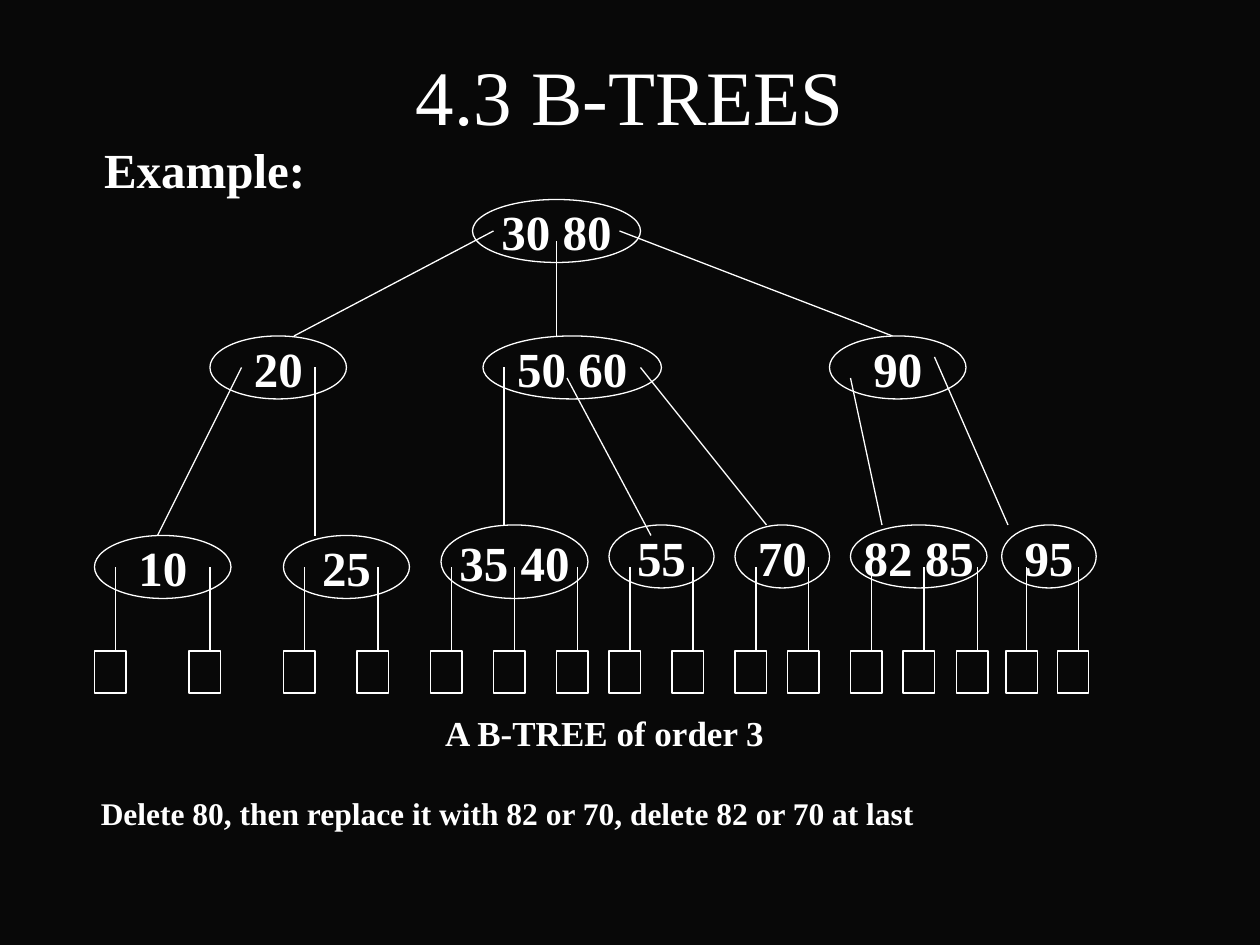
from collections import namedtuple

from pptx import Presentation
from pptx import util as u
from pptx.dml import color
from pptx.enum import shapes, text
from pptx.oxml.ns import qn

CELL = 1 / 12  # grid of 120 columns by 90 rows, in inches
WHITE, BLACK = "FFFFFF", "080808"
FONT = "Times New Roman"
LINE_WIDTH = 0.75
MARGIN = 0.05

Box = namedtuple("Box", "left top width height")
Node = namedtuple("Node", "keys left top width height", defaults=(6,))

# Columns and rows below count from the corner of the tree's box
NODES = [
    Node("30 80", 36, 0, 16),
    Node("20", 11, 13, 13),
    Node("50 60", 37, 13, 17),
    Node("90", 70, 13, 13),
    Node("10", 0, 32, 13),
    Node("25", 18, 32, 12),
    Node("35 40", 33, 31, 14, 7),
    Node("55", 49, 31, 10),
    Node("70", 61, 31, 9),
    Node("82 85", 72, 31, 13),
    Node("95", 86.4, 31, 9),
]
BRANCHES = [
    (38, 3, 19, 13), (44, 4, 44, 13), (50, 3, 76, 13),
    (14, 16, 6, 32), (21, 16, 21, 32),
    (39, 16, 39, 31), (45, 17, 53, 32), (52, 16, 64, 31),
    (72, 17, 75, 31), (80, 15, 87, 31),
]
LEAVES = [0, 9, 18, 25, 32, 38, 44, 49, 55, 61, 66, 72, 77, 82.1, 86.8, 91.7]
LEAF_TOP, LEAF_WIDTH, LEAF_HEIGHT, STEM = 43, 3, 4, 8


def rgb(value):
    return color.RGBColor.from_string(value)


def cells(*counts):
    return [u.Inches(count * CELL) for count in counts]


def add_text(page, box, words, size, bold=True, before=0, wrap=True,
             align=text.PP_ALIGN.LEFT, anchor=text.MSO_ANCHOR.TOP,
             fit=text.MSO_AUTO_SIZE.SHAPE_TO_FIT_TEXT, left_margin=MARGIN):
    frame = page.shapes.add_textbox(*cells(*box)).text_frame
    frame_format = {
        "margin_left": u.Inches(left_margin),
        "margin_top": u.Inches(MARGIN),
        "margin_right": u.Inches(MARGIN),
        "margin_bottom": u.Inches(MARGIN),
        "word_wrap": wrap,
        "auto_size": fit,
        "vertical_anchor": anchor,
    }
    for name, value in frame_format.items():
        setattr(frame, name, value)
    para = frame.paragraphs[0]
    para.alignment = align
    para.space_before = u.Pt(before)
    span = para.add_run()
    span.text = words
    for name, value in {"name": FONT, "size": u.Pt(size), "bold": bold}.items():
        setattr(span.font, name, value)
    span.font.color.rgb = rgb(WHITE)


def add_outline(page, kind, box):
    shape = page.shapes.add_shape(kind, *cells(*box))
    shape.shadow.inherit = False
    shape.fill.background()
    shape.line.color.rgb = rgb(WHITE)
    shape.line.width = u.Pt(LINE_WIDTH)


def add_line(page, *ends):
    line = page.shapes.add_connector(shapes.MSO_CONNECTOR.STRAIGHT, *cells(*ends))
    line.line.color.rgb = rgb(WHITE)
    line.line.width = u.Pt(LINE_WIDTH)
    properties = line._element.spPr
    properties.append(properties.makeelement(qn("a:effectLst"), {}))


def add_node(page, box, keys):
    """Draw an ellipse with its keys centred on it."""
    add_outline(page, shapes.MSO_SHAPE.OVAL, box)
    width, height = (11.9 if " " in keys else 6.1), 6.4
    label = Box(box.left + (box.width - width) / 2,
                box.top + (box.height - height) / 2, width, height)
    add_text(page, label, keys, 28, before=6, wrap=False,
             align=text.PP_ALIGN.CENTER, anchor=text.MSO_ANCHOR.MIDDLE)


def add_leaf(page, left, top):
    add_outline(page, shapes.MSO_SHAPE.RECTANGLE,
                Box(left, top, LEAF_WIDTH, LEAF_HEIGHT))
    add_line(page, left + 2, top - STEM, left + 2, top)


def add_tree(page, box):
    for node in NODES:
        add_node(page, Box(box.left + node.left, box.top + node.top,
                           node.width, node.height), node.keys)
    for x1, y1, x2, y2 in BRANCHES:
        add_line(page, box.left + x1, box.top + y1, box.left + x2, box.top + y2)
    for column in LEAVES:
        add_leaf(page, box.left + column, box.top + LEAF_TOP)
    add_text(page, Box(box.left + 32.8, box.top + 48.2, 31.7, 4.9),
             "A B-TREE of order 3", 20, before=4, wrap=False)


def add_heading(page, box):
    """Place the title, and the opening word of the body below it."""
    fixed = text.MSO_AUTO_SIZE.NONE
    add_text(page, Box(box.left, box.top, box.width, 12), "4.3 B-TREES", 44,
             bold=False, align=text.PP_ALIGN.CENTER,
             anchor=text.MSO_ANCHOR.MIDDLE, fit=fixed)
    add_text(page, Box(box.left - 1, box.top + 9.7, box.width, 54), "Example:", 28,
             before=10.5, fit=fixed, left_margin=0.16)


def main():
    deck = Presentation()
    deck.slide_width, deck.slide_height = cells(120, 90)
    page = deck.slides.add_slide(deck.slide_layouts[6])
    page.background.fill.solid()
    page.background.fill.fore_color.rgb = rgb(BLACK)
    add_heading(page, Box(9, 3, 102, 64))
    add_text(page, Box(9, 75, 107.8, 4.6),
             "Delete 80, then replace it with 82 or 70, delete 82 or 70 at last",
             18, before=10)
    add_tree(page, Box(9, 19, 95.4, 53))
    deck.save("out.pptx")


if __name__ == "__main__":
    main()
